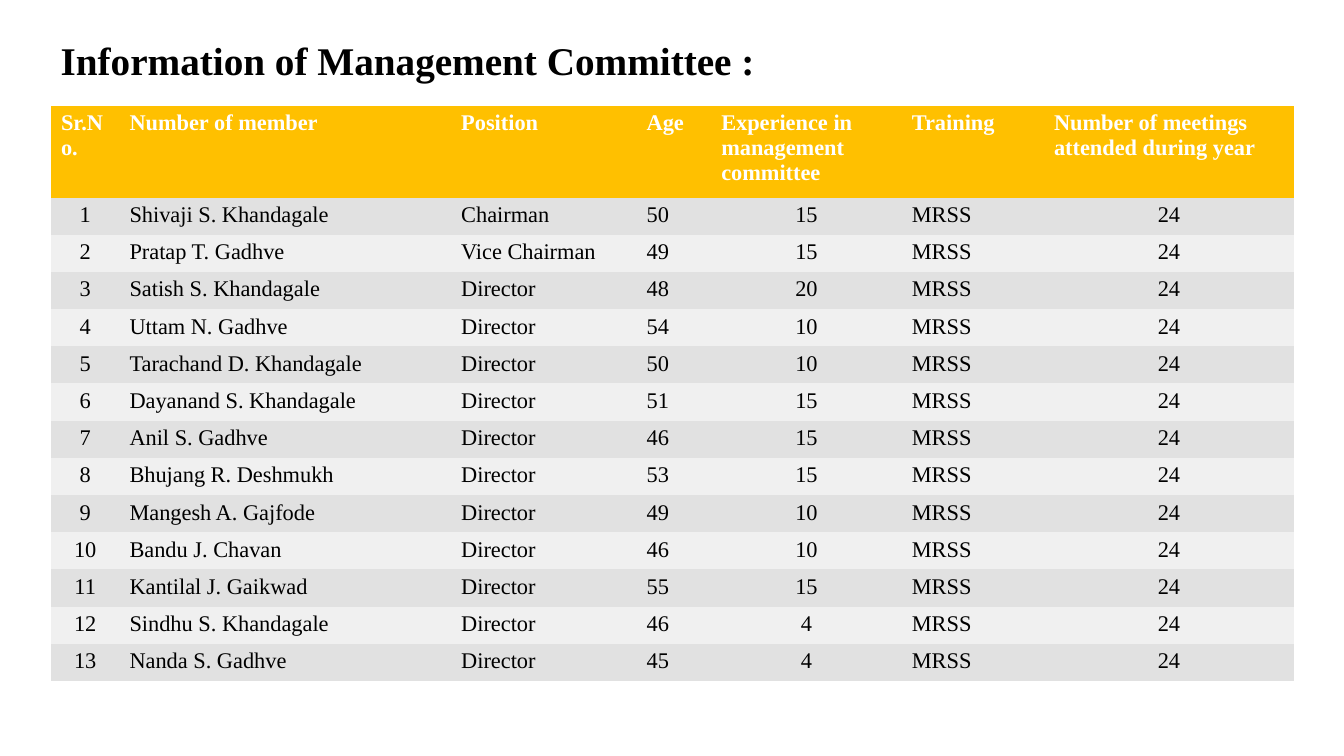
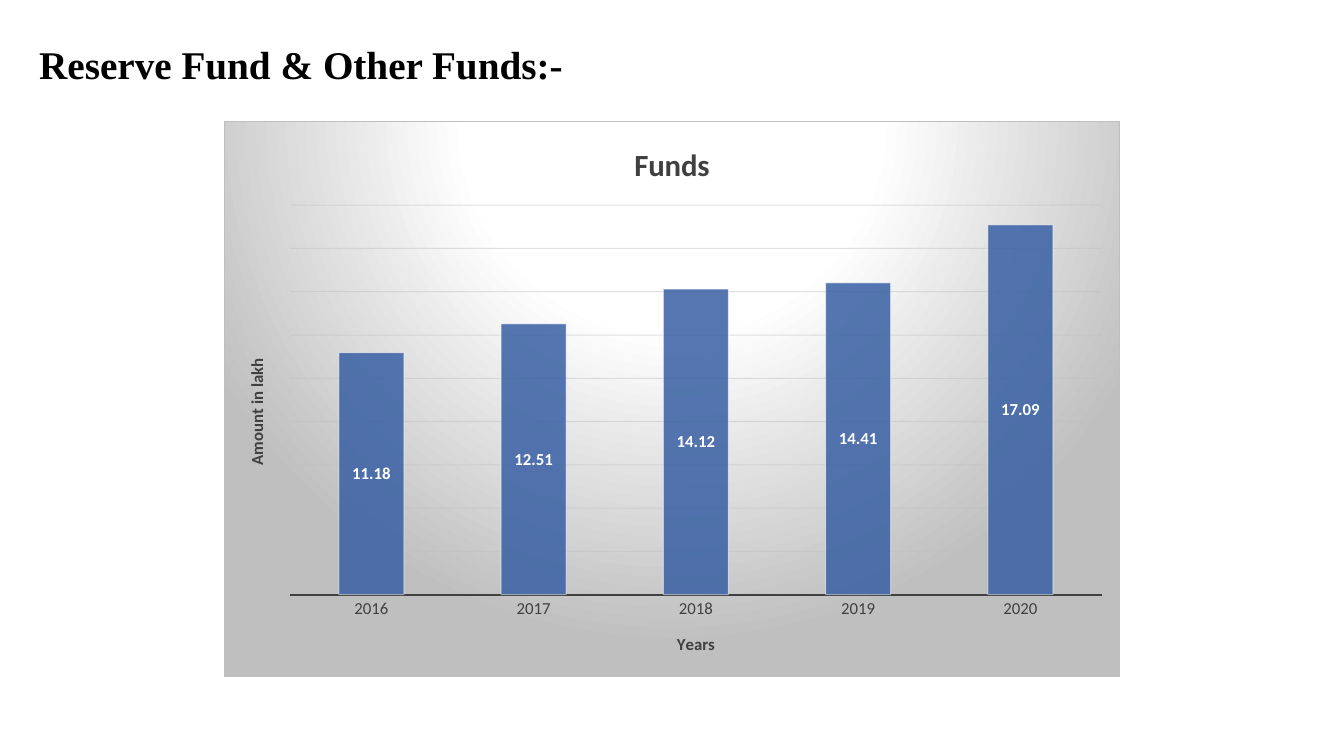
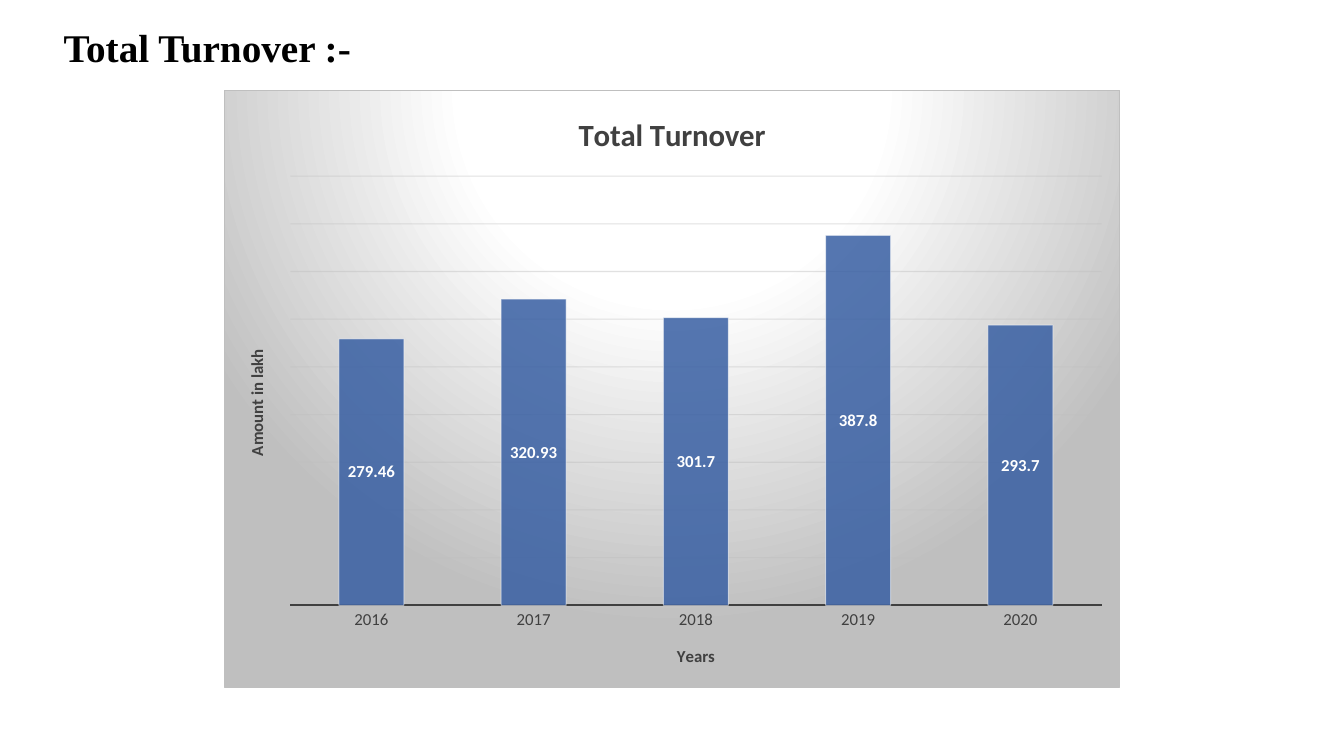
"""Builds three slides: the management committee table and two yearly column charts."""
from lxml.etree import SubElement
from pptx import Presentation
from pptx.chart.data import CategoryChartData
from pptx.dml.color import RGBColor
from pptx.enum.chart import XL_CHART_TYPE, XL_LABEL_POSITION, XL_TICK_MARK
from pptx.enum.text import PP_ALIGN
from pptx.oxml import parse_xml
from pptx.oxml.ns import nsdecls, qn
from pptx.util import Inches, Pt

BLACK, WHITE, GREY = "000000", "FFFFFF", "404040"
AMBER, BANDS, GRID = "FFC000", ("E1E1E1", "F0F0F0"), "BFBFBF"
SERIES_COLORS = ["385FA3", "4472C4", "A8B5DB"]
SERIF, SANS = "Times New Roman", "Calibri"
NO_STYLE = "{2D5ABB26-0587-4C30-8999-92F81FD0307C}"
CHART_FRAME = f"""<c:spPr {nsdecls("c", "a")}>
  <a:gradFill>
    <a:gsLst>
      <a:gs pos="0"><a:srgbClr val="FFFFFF"/></a:gs>
      <a:gs pos="39000"><a:srgbClr val="FFFFFF"/></a:gs>
      <a:gs pos="100000"><a:srgbClr val="BFBFBF"/></a:gs>
    </a:gsLst>
    <a:path path="circle"><a:fillToRect l="50000" t="-80000" r="50000" b="180000"/></a:path>
  </a:gradFill>
  <a:ln w="9525"><a:solidFill><a:srgbClr val="BFBFBF"/></a:solidFill></a:ln>
</c:spPr>"""

SLIDES = [
    ("Information of Management Committee :", 3.78, 4.8),
    ("Reserve Fund & Other Funds:-", 2.18, 5.33),
    ("Total Turnover :-", 4, 3.07),
]
HEADINGS = ["Sr.No.", "Number of member", "Position", "Age",
            "Experience in management committee", "Training",
            "Number of meetings attended during year"]
COLUMN_SHARES = [5.1, 24.68, 13.8, 5.55, 14.18, 10.58, 18.6]
CENTRED_COLUMNS = (0, 4, 6)
MEMBERS = [
    ("Shivaji S. Khandagale", "Chairman", 50, 15),
    ("Pratap T. Gadhve", "Vice Chairman", 49, 15),
    ("Satish S. Khandagale", "Director", 48, 20),
    ("Uttam N. Gadhve", "Director", 54, 10),
    ("Tarachand D. Khandagale", "Director", 50, 10),
    ("Dayanand S. Khandagale", "Director", 51, 15),
    ("Anil S. Gadhve", "Director", 46, 15),
    ("Bhujang R. Deshmukh", "Director", 53, 15),
    ("Mangesh A. Gajfode", "Director", 49, 10),
    ("Bandu J. Chavan", "Director", 46, 10),
    ("Kantilal J. Gaikwad", "Director", 55, 15),
    ("Sindhu S. Khandagale", "Director", 46, 4),
    ("Nanda S. Gadhve", "Director", 45, 4),
]
YEARS = ["2016", "2017", "2018", "2019", "2020"]
CHARTS = [
    ("Funds", [11.18, 12.51, 14.12, 14.41, 17.09], 2, 16, 73.53),
    ("Total Turnover", [279.46, 320.93, 301.7, 387.8, 293.7], 50, 11.93, 79.13),
]


def paint(fill, color, opacity=100):
    fill.solid()
    fill.fore_color.rgb = RGBColor.from_string(color)
    if opacity < 100:
        tint = fill._xPr.find(f"{qn('a:solidFill')}/{qn('a:srgbClr')}")
        SubElement(tint, qn("a:alpha")).set("val", str(opacity * 1000))


def write(para, text, size, color, font, bold=True):
    span = para.add_run()
    span.text = str(text)
    span.font.size, span.font.name, span.font.bold = Pt(size), font, bold
    paint(span.font.fill, color)


deck = Presentation()
deck.slide_width, deck.slide_height = Inches(13.33), Inches(7.5)
column, row = deck.slide_width / 100, deck.slide_height / 100

pages = []
for title, left, top in SLIDES:
    page = deck.slides.add_slide(deck.slide_layouts[6])
    box = page.shapes.add_textbox(int(left * column), int(top * row), int(90 * column), int(8 * row))
    box.text_frame.word_wrap = True
    para = box.text_frame.paragraphs[0]
    para.line_spacing = 0.9
    write(para, title, 28, BLACK, SERIF)
    pages.append(page)

records = [HEADINGS]
for number, (member, position, age, experience) in enumerate(MEMBERS, 1):
    records.append([number, member, position, age, experience, "MRSS", 24])
frame = pages[0].shapes.add_table(
    len(records), len(HEADINGS), int(3.79 * column), int(14 * row),
    int(sum(COLUMN_SHARES) * column), int(76 * row))
table = frame.table
table._tbl.tblPr.find(qn("a:tableStyleId")).text = NO_STYLE
for table_column, share in zip(table.columns, COLUMN_SHARES):
    table_column.width = int(share * column)
for y, record in enumerate(records):
    header = y == 0
    table.rows[y].height = int((12.13 if header else 4.92) * row)
    for x, value in enumerate(record):
        cell = table.cell(y, x)
        paint(cell.fill, AMBER if header else BANDS[(y - 1) % 2])
        para = cell.text_frame.paragraphs[0]
        if not header and x in CENTRED_COLUMNS:
            para.alignment = PP_ALIGN.CENTER
        write(para, value, 16, WHITE if header else BLACK, SERIF, header)

for page, (name, amounts, step, top, height) in zip(pages[1:], CHARTS):
    data = CategoryChartData()
    data.categories = YEARS
    unfilled = [None] * len(YEARS)
    for number, values in enumerate([amounts, unfilled, unfilled], 1):
        data.add_series(f"Series {number}", values)
    chart = page.shapes.add_chart(
        XL_CHART_TYPE.COLUMN_STACKED, deck.slide_width // 6, int(top * row),
        deck.slide_width * 2 // 3, int(height * row), data).chart
    chart.has_legend = False
    chart.font.size, chart.font.name = Pt(10), SANS
    chart._chartSpace.find(qn("c:chart")).addnext(parse_xml(CHART_FRAME))

    years, scale = chart.category_axis, chart.value_axis
    write(chart.chart_title.text_frame.paragraphs[0], name, 22, GREY, SANS)
    write(years.axis_title.text_frame.paragraphs[0], "Years", 12, GREY, SANS)
    scale_title = scale.axis_title.text_frame
    write(scale_title.paragraphs[0], "Amount in lakh", 12, GREY, SANS)
    scale_title._txBody.bodyPr.set("rot", "-5400000")

    years.major_tick_mark = XL_TICK_MARK.NONE
    years.tick_labels.font.size = Pt(12)
    paint(years.tick_labels.font.fill, GREY)
    years.format.line.width = Pt(1.5)
    paint(years.format.line.fill, GREY)
    scale.visible = False
    scale.minimum_scale, scale.maximum_scale, scale.major_unit = 0, 9 * step, step
    gridline = scale.major_gridlines.format.line
    gridline.width = Pt(0.75)
    paint(gridline.fill, GRID, 45)

    plot = chart.plots[0]
    plot.vary_by_categories = False
    plot.gap_width, plot.overlap = 150, 100
    for series, color in zip(plot.series, SERIES_COLORS):
        paint(series.format.fill, color, 85)
        series.format.line.width = Pt(0.75)
        paint(series.format.line.fill, WHITE, 50)
    plot.has_data_labels = True
    labels = plot.data_labels
    labels.show_value, labels.position = True, XL_LABEL_POSITION.CENTER
    labels.font.size, labels.font.bold, labels.font.name = Pt(12), True, SANS
    paint(labels.font.fill, WHITE)

deck.save("out.pptx")
